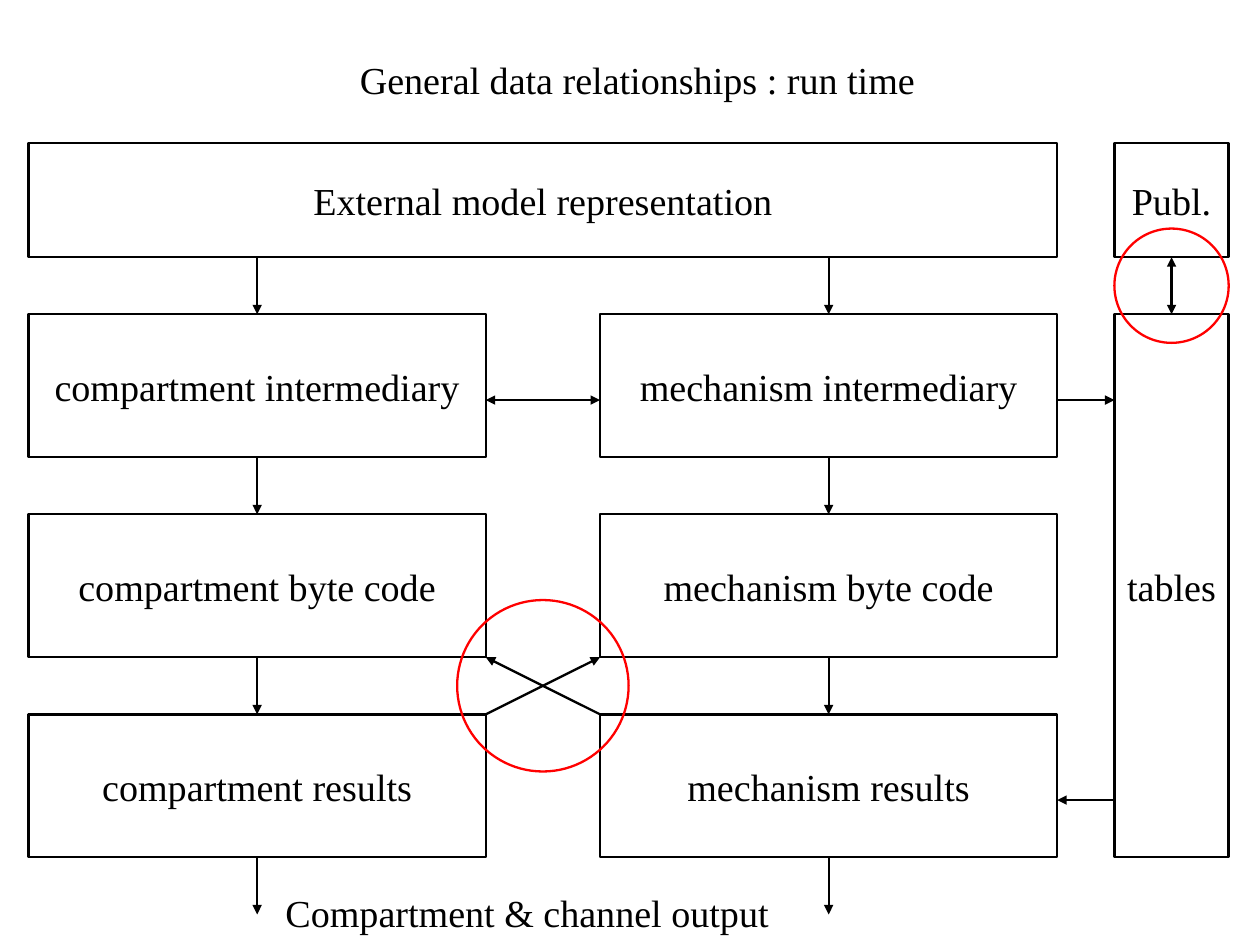
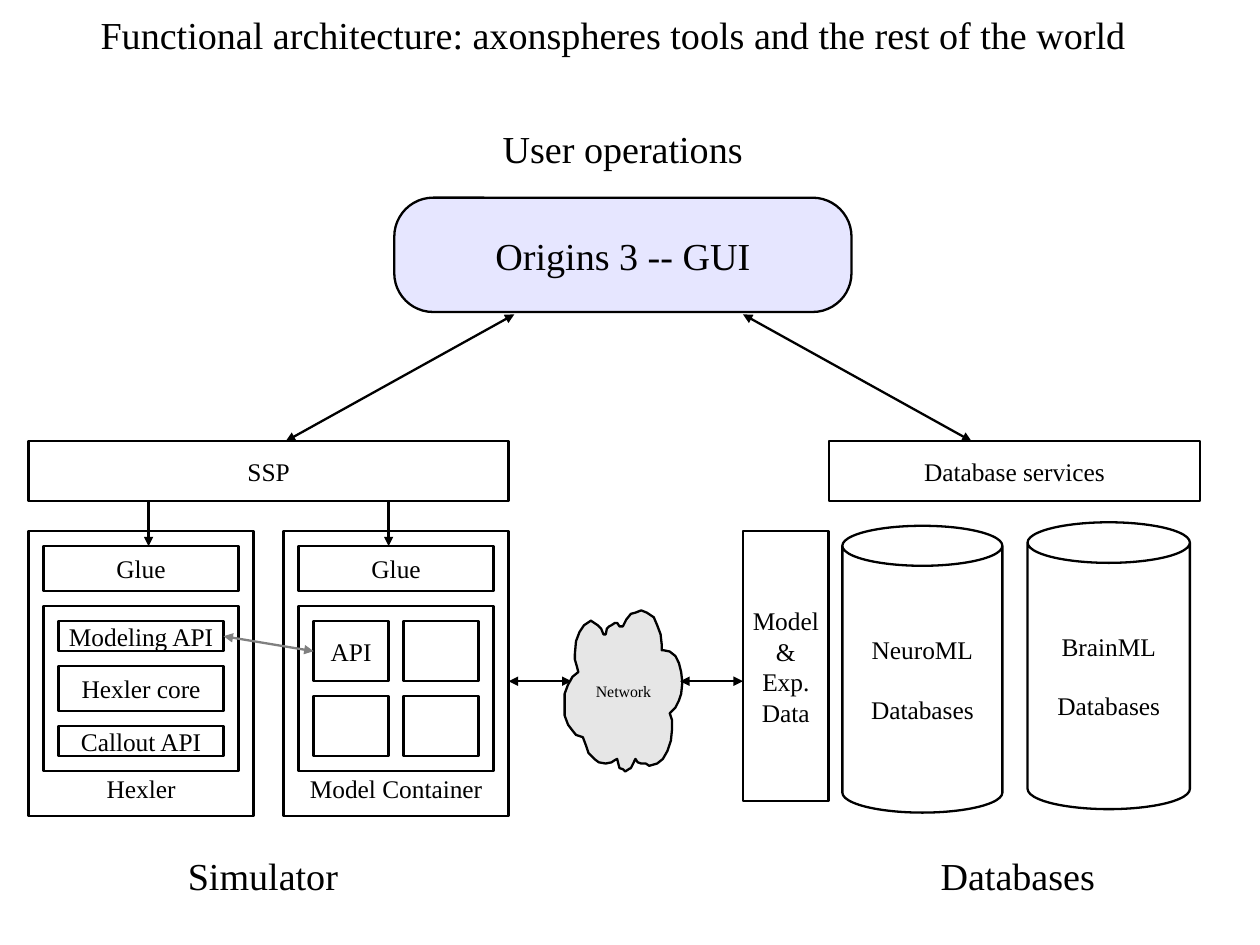
from dataclasses import dataclass

from lxml.etree import SubElement
from pptx import Presentation
from pptx.dml.color import RGBColor
from pptx.enum.shapes import MSO_CONNECTOR, MSO_SHAPE
from pptx.enum.text import MSO_ANCHOR, MSO_AUTO_SIZE, PP_ALIGN
from pptx.oxml.ns import qn
from pptx.util import Cm, Inches, Pt

BLACK = RGBColor(0x00, 0x00, 0x00)
WHITE = RGBColor(0xFF, 0xFF, 0xFF)
RED = RGBColor(0xFF, 0x00, 0x00)
GREY = RGBColor(0x80, 0x80, 0x80)
CLOUD_GREY = RGBColor(0xE6, 0xE6, 0xE6)
LAVENDER = RGBColor(0xE6, 0xE6, 0xFF)

FONT = "Times New Roman"
LARGE, MEDIUM, SMALL = 24, 16, 10
LINE_WIDTH = Pt(1.45)
INSET = Inches(0.01)
LABEL_ROWS = 1.6
TOP, LEFT, BOTTOM, RIGHT = range(4)


@dataclass(frozen=True)
class Grid:
    """Origin and cell size in inches; areas are column, row, columns, rows."""
    left: float
    top: float
    column: float
    row: float

    def point(self, column, row):
        return (Inches(self.left + column * self.column),
                Inches(self.top + row * self.row))

    def area(self, column, row, columns, rows):
        return (*self.point(column, row),
                Inches(columns * self.column), Inches(rows * self.row))


FINE_STEP = 4.2 / 32
PAGE = Grid(0, 0, 0.25, 0.25)
SIMULATOR = Grid(0.25, 3.86, FINE_STEP, FINE_STEP)
DATABASE = Grid(6.5, 3.86, 0.125, FINE_STEP)

# Outline of the network cloud, in hundredths of an inch on the page
CLOUD = [
    (586, 624), (588, 630), (588, 638), (587, 648), (584, 657), (580, 664),
    (575, 668), (568, 670), (565, 668), (561, 668), (558, 667), (556, 664),
    (554, 668), (552, 672), (550, 673), (547, 675), (545, 673), (542, 672),
    (541, 668), (540, 664), (538, 665), (535, 667), (530, 668), (524, 667),
    (520, 664), (515, 659), (513, 653), (510, 645), (504, 643), (500, 638),
    (497, 634), (494, 626), (494, 607), (497, 599), (501, 592), (506, 588),
    (505, 584), (503, 577), (503, 572), (504, 561), (507, 553), (511, 547),
    (517, 543), (520, 545), (523, 547), (526, 550), (528, 555), (530, 555),
    (531, 550), (533, 548), (535, 547), (538, 545), (540, 545), (542, 548),
    (545, 548), (548, 542), (552, 537), (556, 536), (561, 534), (566, 536),
    (572, 540), (575, 547), (578, 555), (579, 564), (579, 569), (581, 569),
    (586, 570), (591, 574), (594, 580), (596, 588), (597, 597), (596, 607),
    (594, 613), (591, 619),
]


def write(shape, text, size, anchor=MSO_ANCHOR.MIDDLE, inset=INSET):
    frame = shape.text_frame
    frame.text = text
    frame.word_wrap = True
    frame.vertical_anchor = anchor
    frame.margin_left = frame.margin_right = inset
    frame.margin_top = frame.margin_bottom = inset
    for paragraph in frame.paragraphs:
        paragraph.alignment = PP_ALIGN.CENTER
        for span in paragraph.runs:
            span.font.name = FONT
            span.font.size = Pt(size)
            span.font.color.rgb = BLACK


def paint(shape, fill=None, line=BLACK):
    shape.shadow.inherit = False
    if fill is None:
        shape.fill.background()
    else:
        shape.fill.solid()
        shape.fill.fore_color.rgb = fill
    shape.line.color.rgb = line
    shape.line.width = LINE_WIDTH


def add_box(page, area, text="", size=MEDIUM, kind=MSO_SHAPE.RECTANGLE,
            fill=None, line=BLACK):
    box = page.shapes.add_shape(kind, *area)
    paint(box, fill, line)
    if text:
        write(box, text, size)
    return box


def add_container(page, area, caption):
    """Outer box whose caption stands a little above its lower edge."""
    box = add_box(page, area)
    write(box, caption, MEDIUM, MSO_ANCHOR.BOTTOM)
    box.text_frame.margin_bottom = Inches(0.11)


def add_cylinder(page, area, text):
    can = add_box(page, area, text, kind=MSO_SHAPE.CAN, fill=WHITE)
    can.adjustments[0] = 0.25
    can.text_frame.paragraphs[1].space_before = Pt(18.4)


def add_arrow(page, start, end, double=False, colour=BLACK,
              source=None, target=None):
    """Arrow between two points; source and target are (box, side) to join."""
    arrow = page.shapes.add_connector(MSO_CONNECTOR.STRAIGHT, *start, *end)
    if source:
        arrow.begin_connect(*source)
    if target:
        arrow.end_connect(*target)
    arrow.line.color.rgb = colour
    arrow.line.width = LINE_WIDTH
    outline = arrow.line._get_or_add_ln()
    for tag in ("a:headEnd", "a:tailEnd")[0 if double else 1:]:
        SubElement(outline, qn(tag), type="triangle")
    SubElement(arrow._element.spPr, qn("a:effectLst"))


def join(page, source, target, double=False, colour=BLACK):
    """Arrow whose two ends both sit on box sides."""
    origin = PAGE.point(0, 0)
    add_arrow(page, origin, origin, double, colour, source, target)


def format_label(shape, text):
    write(shape, text, LARGE, inset=0)
    shape.text_frame.word_wrap = False
    shape.text_frame.auto_size = MSO_AUTO_SIZE.NONE


def add_label(page, text, column, row, columns):
    label = page.shapes.add_textbox(*PAGE.area(column, row, columns, LABEL_ROWS))
    format_label(label, text)


def add_page(deck, title, column, row, columns):
    page = deck.slides.add_slide(deck.slide_layouts.get_by_name("Title Only"))
    heading = page.shapes.title
    heading.left, heading.top, heading.width, heading.height = PAGE.area(
        column, row, columns, LABEL_ROWS)
    format_label(heading, title)
    return page


def add_run_time_page(deck):
    page = add_page(deck, "General data relationships : run time",
                    12.57, 1.96, 19.48)
    point, area = PAGE.point, PAGE.area
    add_box(page, area(1, 5, 36, 4), "External model representation", LARGE)
    tables = add_box(page, area(39, 11, 4, 19), "tables", LARGE)
    publications = add_box(page, area(39, 5, 4, 4), "Publ.", LARGE)

    for column, subject in ((1, "compartment"), (21, "mechanism")):
        middle = column + 8
        stages = [
            add_box(page, area(column, 11 + 7 * step, 16, 5),
                    f"{subject} {stage}", LARGE)
            for step, stage in enumerate(("intermediary", "byte code", "results"))
        ]
        add_arrow(page, point(middle, 9), point(middle, 11),
                  target=(stages[0], TOP))
        for upper, lower in zip(stages, stages[1:]):
            join(page, (upper, BOTTOM), (lower, TOP))
        add_arrow(page, point(middle, 30), point(middle, 32),
                  source=(stages[-1], BOTTOM))

    add_arrow(page, point(17, 14), point(21, 14), double=True)
    for start, end in (((37, 14), (39, 14)), ((39, 28), (37, 28)),
                       ((17, 25), (21, 23)), ((21, 25), (17, 23))):
        add_arrow(page, point(*start), point(*end))
    join(page, (publications, BOTTOM), (tables, TOP), double=True)

    add_label(page, "Compartment & channel output", 10, 31.12, 16.9)
    for circle in ((16, 21, 6, 6), (39, 8, 4, 4)):
        add_box(page, area(*circle), kind=MSO_SHAPE.OVAL, line=RED)


def add_simulator(page):
    point, area = SIMULATOR.point, SIMULATOR.area
    add_box(page, area(0, 0, 32, 4), "SSP")
    for column, caption in ((0, "Hexler"), (17, "Model Container")):
        add_container(page, area(column, 6, 15, 19), caption)
        add_box(page, area(column + 1, 7, 13, 3), "Glue")
        add_box(page, area(column + 1, 11, 13, 11))
    for column in (8, 24):
        add_arrow(page, point(column, 4), point(column, 7))

    modeling = add_box(page, area(2, 12, 11, 2), "Modeling API")
    add_box(page, area(2, 15, 11, 3), "Hexler core")
    add_box(page, area(2, 19, 11, 2), "Callout API")
    interface = add_box(page, area(19, 12, 5, 4), "API")
    for column, row in ((25, 12), (19, 17), (25, 17)):
        add_box(page, area(column, row, 5, 4))
    join(page, (modeling, RIGHT), (interface, LEFT), double=True, colour=GREY)


def add_databases(page):
    area = DATABASE.area
    add_box(page, area(6, 0, 26, 4), "Database services")
    add_box(page, area(0, 6, 6, 18), "Model\n&\nExp.\nData")
    add_cylinder(page, area(6.96, 5.64, 11.2, 19.12), "NeuroML\nDatabases")
    add_cylinder(page, area(19.92, 5.41, 11.36, 19.12), "BrainML\nDatabases")


def add_network(page):
    builder = page.shapes.build_freeform(*CLOUD[0], scale=Inches(0.01))
    builder.add_line_segments(CLOUD[1:], close=True)
    cloud = builder.convert_to_shape()
    paint(cloud, CLOUD_GREY)
    write(cloud, "Network", SMALL)


def add_architecture_page(deck):
    page = add_page(
        deck,
        "Functional architecture: axonspheres tools and the rest of the world",
        3.52, 0.4, 35.88)
    add_simulator(page)
    add_databases(page)
    add_network(page)

    gui = add_box(page, PAGE.area(13.8, 6.92, 16, 4), "Origins 3 -- GUI", LARGE,
                  MSO_SHAPE.ROUNDED_RECTANGLE, LAVENDER)
    gui.adjustments[0] = 0.34
    for start, end in (((17.8, 23.84), (20, 23.84)), ((23.8, 23.84), (26, 23.84)),
                       ((10, 15.44), (18, 11)), ((34, 15.44), (26, 11))):
        add_arrow(page, PAGE.point(*start), PAGE.point(*end), double=True)

    add_label(page, "User operations", 17.57, 4.4, 8.44)
    add_label(page, "Simulator", 6.56, 29.84, 5.28)
    add_label(page, "Databases", 32.92, 29.84, 5.4)


def main():
    deck = Presentation()
    deck.slide_width, deck.slide_height = Cm(28), Cm(21)
    add_run_time_page(deck)
    add_architecture_page(deck)
    deck.save("out.pptx")


if __name__ == "__main__":
    main()
